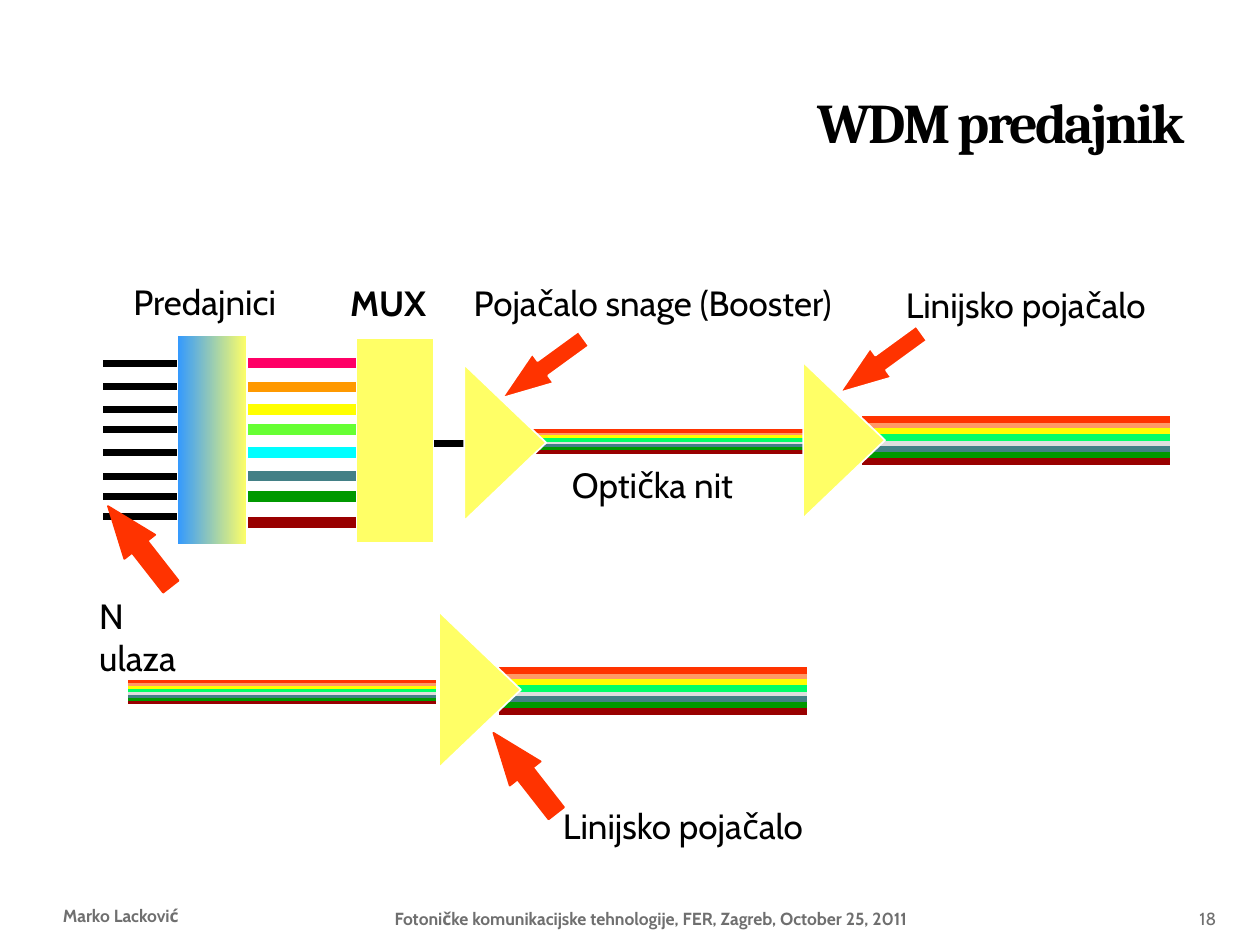
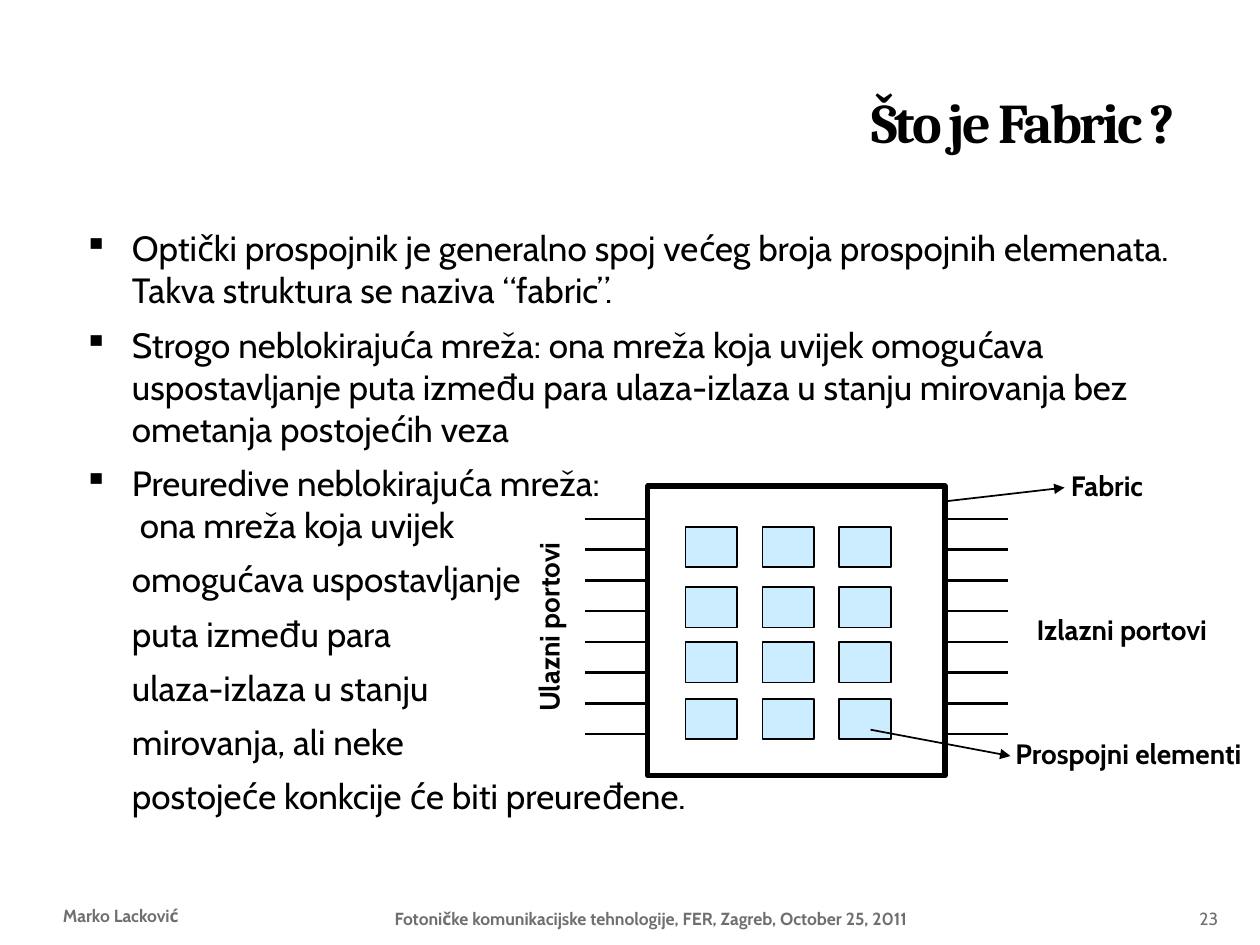
"""Builds two lecture slides on WDM transmitters and optical switch fabrics."""
from dataclasses import dataclass
from lxml import etree
from pptx import Presentation
from pptx import util as u
from pptx.dml.color import RGBColor
from pptx.enum import shapes, text
from pptx.oxml.ns import qn

Cm, Pt = u.Cm, u.Pt
SHAPE, ALIGN, ANCHOR = shapes.MSO_SHAPE, text.PP_ALIGN, text.MSO_ANCHOR
BLACK, WHITE, GREY = "000000", "FFFFFF", "6F6F6F"
RED, YELLOW, PALE_BLUE = "FF3300", "FFFF66", "CCECFF"
TITLE_FONT = dict(name="Cambria", size=Pt(32), bold=True)
BODY_FONT = dict(name="Cabin", size=Pt(20), bold=False)
STRONG_FONT = dict(name="Cabin", size=Pt(20), bold=True)
CALLOUT_FONT = dict(name="Cabin", size=Pt(16), bold=True)
FOOTER_FONT = dict(name="Cabin", size=Pt(10), bold=True)
PAGE_FONT = dict(name="Cabin", size=Pt(10), bold=False)
EVENT = "Fotoničke komunikacijske tehnologije, FER, Zagreb, October 25, 2011"
FIBRE_CHANNELS = [(1, "FF9966"), (4, "DEDEDE"), (0, RED), (2, "FFFF00"),
                  (3, "00FF66"), (5, "438086"), (6, "009900"), (7, "990000")]


@dataclass
class Label:
    words: str
    left: float
    top: float
    width: float
    height: float
    font: dict
    color: str = BLACK
    align: ALIGN = ALIGN.LEFT
    anchor: ANCHOR = ANCHOR.TOP
    wrap: bool = False
    rotation: float = 0
    inset: float = 0.25


@dataclass
class Block:
    kind: SHAPE
    left: float
    top: float
    width: float
    height: float
    fill: str | tuple | None
    line: str = WHITE
    weight: float = 1
    rotation: float = 0
    head: float | None = None


@dataclass
class Stroke:
    x1: float
    y1: float
    x2: float
    y2: float
    color: str = BLACK
    weight: float = 4
    arrow: bool = False


@dataclass
class Fibre:
    left: float
    top: float
    pitch: float
    weight: float
    length: float = 6.2


def rgb(color: str) -> RGBColor:
    return RGBColor.from_string(color)


def assign(target, values: dict) -> None:
    for name, value in values.items():
        setattr(target, name, value)


def style_runs(p, font: dict, color: str) -> None:
    for r in p.runs:
        assign(r.font, font)
        r.font.color.rgb = rgb(color)


def draw_label(s, label: Label):
    sp = s.shapes.add_textbox(Cm(label.left), Cm(label.top), Cm(label.width), Cm(label.height))
    sp.rotation = label.rotation
    tf = sp.text_frame
    assign(tf, dict(word_wrap=label.wrap, vertical_anchor=label.anchor,
                    margin_left=Cm(label.inset)))
    p = tf.paragraphs[0]
    assign(p, dict(text=label.words, alignment=label.align))
    style_runs(p, label.font, label.color)
    return sp


def draw_block(s, block: Block) -> None:
    sp = s.shapes.add_shape(block.kind, Cm(block.left), Cm(block.top),
                            Cm(block.width), Cm(block.height))
    sp.shadow.inherit = False
    sp.rotation = block.rotation
    if block.head is not None:
        sp.adjustments[1] = block.head
    if block.fill is None:
        sp.fill.background()
    elif isinstance(block.fill, tuple):
        sp.fill.gradient()
        sp.fill.gradient_angle = 0
        for stop, color in zip(sp.fill.gradient_stops, block.fill):
            stop.color.rgb = rgb(color)
    else:
        sp.fill.solid()
        sp.fill.fore_color.rgb = rgb(block.fill)
    sp.line.color.rgb = rgb(block.line)
    sp.line.width = Pt(block.weight)


def draw_stroke(s, stroke: Stroke) -> None:
    sp = s.shapes.add_connector(shapes.MSO_CONNECTOR.STRAIGHT, Cm(stroke.x1), Cm(stroke.y1),
                                Cm(stroke.x2), Cm(stroke.y2))
    sp.line.color.rgb = rgb(stroke.color)
    sp.line.width = Pt(stroke.weight)
    spPr = sp._element.spPr
    if stroke.arrow:
        etree.SubElement(spPr.find(qn("a:ln")), qn("a:tailEnd"), type="triangle")
    etree.SubElement(spPr, qn("a:effectLst"))


def draw_fibre(s, fibre: Fibre) -> None:
    for slot, color in FIBRE_CHANNELS:
        y = fibre.top + slot * fibre.pitch
        draw_stroke(s, Stroke(fibre.left, y, fibre.left + fibre.length, y, color, fibre.weight))


def new_slide(prs, title: str, page: str):
    s = prs.slides.add_slide(prs.slide_layouts[5])
    sp = s.shapes.title
    assign(sp, dict(left=Cm(1.27), top=Cm(0.64), width=Cm(22.86), height=Cm(3.61)))
    tf = sp.text_frame
    assign(tf, dict(auto_size=text.MSO_AUTO_SIZE.NONE, word_wrap=True,
                    vertical_anchor=ANCHOR.MIDDLE))
    p = tf.paragraphs[0]
    assign(p, dict(text=title, alignment=ALIGN.RIGHT))
    style_runs(p, TITLE_FONT, BLACK)
    for r in p.runs:
        r._r.get_or_add_rPr().set("spc", "-150")
    shared = dict(color=GREY, anchor=ANCHOR.BOTTOM, wrap=True)
    draw_label(s, Label(EVENT, 4.01, 17.83, 18.21, 1.02, FOOTER_FONT,
                        align=ALIGN.CENTER, **shared))
    draw_label(s, Label("Marko Lacković", 1.27, 17.78, 2.97, 1.02, FOOTER_FONT,
                        inset=0, **shared))
    draw_label(s, Label(page, 23.93, 17.83, 1.27, 1.02, PAGE_FONT, **shared))
    return s


def transmitter_slide(prs) -> None:
    s = new_slide(prs, "WDM predajnik", "18")
    channel_rows = [7.32, 7.8, 8.26, 8.66, 9.12, 9.6, 10.01]
    for y in channel_rows + [10.41]:
        draw_stroke(s, Stroke(2.08, y, 3.75, y))
    carriers = ["FF0066", "FF9900", "FFFF00", "66FF33", "00FFFF", "438086", "009900", "990000"]
    for y, color in zip(channel_rows + [10.53], carriers):
        draw_stroke(s, Stroke(4.83, y, 7.3, y, color, 6))
    draw_stroke(s, Stroke(8.31, 8.94, 9.68, 8.94))

    for fibre in (Fibre(10.44, 8.69, 0.06, 2), Fibre(17.38, 8.46, 0.12, 4),
                  Fibre(10.06, 13.51, 0.12, 4), Fibre(2.59, 13.74, 0.06, 2)):
        draw_fibre(s, fibre)

    draw_block(s, Block(SHAPE.RECTANGLE, 3.58, 6.76, 1.4, 4.22, ("3399FF", YELLOW)))
    draw_block(s, Block(SHAPE.RECTANGLE, 7.19, 6.81, 1.55, 4.14, YELLOW))
    for left, top in ((15.44, 8.05), (8.61, 8.1), (8.1, 13.08)):
        draw_block(s, Block(SHAPE.ISOSCELES_TRIANGLE, left, top, 3.15, 1.65, YELLOW,
                            rotation=90))
    for left, top in ((9.93, 7.06), (16.74, 6.95)):
        draw_block(s, Block(SHAPE.LEFT_ARROW, left, top, 2.03, 0.73, RED,
                            rotation=324, head=1.39))
    for left, top in ((1.78, 10.62), (9.55, 15.19)):
        draw_block(s, Block(SHAPE.LEFT_ARROW, left, top, 2.06, 0.79, RED, RED,
                            rotation=52, head=1.32))

    for label in (Label("Predajnici", 2.44, 5.54, 3.43, 1.12, BODY_FONT),
                  Label("MUX", 6.81, 5.56, 2.06, 1.12, STRONG_FONT),
                  Label("Pojačalo snage (Booster)", 9.3, 5.56, 7.77, 1.12, BODY_FONT),
                  Label("Linijsko pojačalo", 18.01, 5.59, 5.38, 1.12, BODY_FONT),
                  Label("Optička nit", 11.28, 9.22, 3.76, 1.12, BODY_FONT),
                  Label("N ulaza", 1.75, 11.86, 2.3, 1.12, BODY_FONT, wrap=True),
                  Label("Linijsko pojačalo", 11.1, 16.1, 5.38, 1.12, BODY_FONT)):
        draw_label(s, label)


def write_body(s, bulleted: list[str], continued: list[str]) -> None:
    sp = draw_label(s, Label("", 1.27, 4.45, 22.86, 12.7, BODY_FONT, wrap=True))
    tf = sp.text_frame
    for i, words in enumerate(bulleted + continued):
        p = tf.add_paragraph() if i else tf.paragraphs[0]
        p.text = words
        if i:
            p.space_before = Pt(7)
        pPr = p._p.get_or_add_pPr()
        pPr.set("marL", str(Cm(1.14)))
        if i < len(bulleted):
            pPr.set("indent", str(-Cm(0.97)))
            etree.SubElement(pPr, qn("a:buSzPct"), val="95000")
            etree.SubElement(pPr, qn("a:buChar"), char="▪")
        style_runs(p, BODY_FONT, BLACK)


def fabric_slide(prs) -> None:
    s = new_slide(prs, "Što je Fabric ? ", "23")
    write_body(s, [
        "Optički prospojnik je generalno spoj većeg broja prospojnih elemenata. "
        "Takva struktura se naziva “fabric”.",
        "Strogo neblokirajuća mreža: ona mreža koja uvijek omogućava uspostavljanje puta "
        "između para ulaza-izlaza u stanju mirovanja bez ometanja postojećih veza",
        "Preuredive neblokirajuća mreža:\n ona mreža koja uvijek",
    ], [
        "omogućava uspostavljanje",
        "puta između para",
        "ulaza-izlaza u stanju",
        "mirovanja, ali neke",
        "postojeće konkcije će biti preuređene.",
    ])

    draw_block(s, Block(SHAPE.RECTANGLE, 13.06, 9.8, 5.99, 5.84, None, BLACK, 3))
    for port in range(8):
        y = 10.46 + port * 0.62
        for x1, x2 in ((11.8, 13.06), (19.08, 20.33)):
            draw_stroke(s, Stroke(x1, y, x2, y, weight=1.5))
    for y in (10.62, 11.84, 12.95, 14.09):
        for column in range(3):
            draw_block(s, Block(SHAPE.RECTANGLE, 13.82 + column * 1.55, y, 1.04, 0.81,
                                PALE_BLUE, BLACK))

    draw_stroke(s, Stroke(17.55, 14.71, 20.37, 15.24, weight=1, arrow=True))
    draw_stroke(s, Stroke(19.02, 10.11, 21.46, 9.83, weight=1, arrow=True))
    for words, left, top, width, rotation in (
            ("Ulazni portovi", 9.07, 12.17, 3.99, 270),
            ("Izlazni portovi", 20.62, 12.22, 3.99, 0),
            ("Prospojni elementi", 20.17, 14.73, 5.16, 0),
            ("Fabric", 21.31, 9.32, 2.01, 0)):
        draw_label(s, Label(words, left, top, width, 0.94, CALLOUT_FONT,
                            align=ALIGN.CENTER, rotation=rotation))


def main() -> None:
    prs = Presentation()
    assign(prs, dict(slide_width=Cm(25.4), slide_height=Cm(19.05)))
    transmitter_slide(prs)
    fabric_slide(prs)
    prs.save("out.pptx")


if __name__ == "__main__":
    main()
